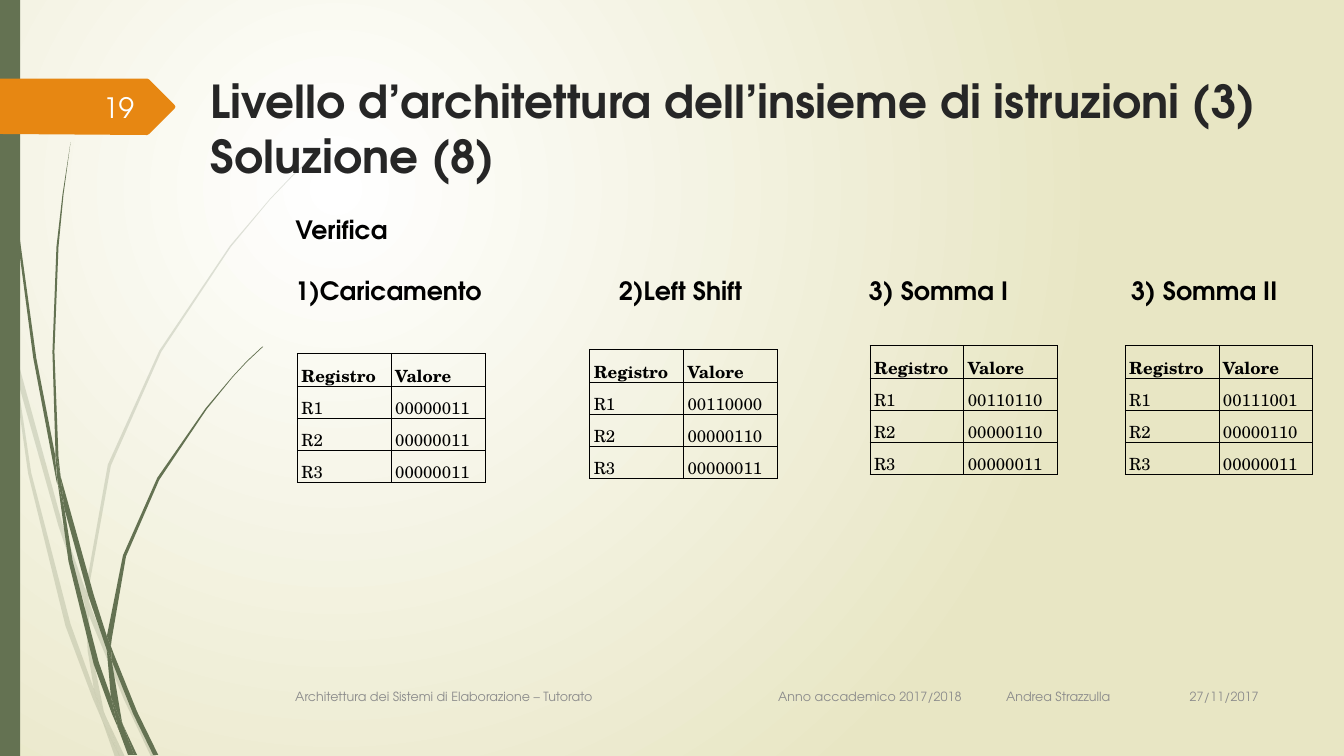
"""Build the slide that checks the register contents after each instruction."""
from dataclasses import dataclass
from typing import Any, Dict, List, Tuple

from lxml import etree
from pptx import Presentation
from pptx import slide as sl
from pptx import util as u
from pptx.dml import color as dml
from pptx.enum import shapes, text
from pptx.oxml import ns

WHITE = dml.RGBColor(0xFF, 0xFF, 0xFF)
CREAM = dml.RGBColor(0xE8, 0xE6, 0xC4)
GREEN = dml.RGBColor(0x64, 0x72, 0x52)
ORANGE = dml.RGBColor(0xE7, 0x87, 0x12)
NUMBER_WHITE = dml.RGBColor(0xFE, 0xFF, 0xFF)
GREY = dml.RGBColor(0x8C, 0x8C, 0x8C)
DARK = dml.RGBColor(0x26, 0x26, 0x26)
BLACK = dml.RGBColor(0, 0, 0)
SANS = "TeX Gyre Adventor"
SERIF = "TeX Gyre Schola"
COLUMN_WIDTH = 0.93
ROW_HEIGHT = 0.32


@dataclass
class Label:
    text: str
    left: float
    top: float
    width: float
    size: float = 18
    color: dml.RGBColor = BLACK
    bold: bool = True
    align: text.PP_ALIGN = text.PP_ALIGN.LEFT
    anchor: text.MSO_ANCHOR = text.MSO_ANCHOR.TOP
    tabs: Tuple[float, ...] = ()


@dataclass
class RegisterTable:
    left: float
    top: float
    values: Tuple[str, str, str]


@dataclass
class Plant:
    opacity: int
    outlines: Tuple[str, ...]


PALE_PLANT = Plant(20, (
    "0.11,3.5 0.09,3.22 0,2.82 0,2.99 0.1,3.44",
    "0.58,5.22 0.84,5.99 0.85,5.86 0.62,5.2 0.14,3.45 0.17,3.76",
    "0.92,6.07 0.88,5.96 0.88,6.1 1.23,6.94 1.5,7.51 1.55,7.51 1.27,6.92",
    "1.19,7.51 1.24,7.51 1.05,7.11",
    "0.93,6.83 0.7,6.19 0.31,4.69 0.17,3.76 0.11,3.5 0.28,4.7 0.65,6.21 0.92,6.93 1.01,7.14 0.99,7.07",
    "0.84,5.99 0.87,6.46 0.93,6.83 0.96,6.92 1.05,7.11 1.03,7.06 0.91,6.46 0.88,6.1 0.88,6.08",
    "0.88,5.84 1.1,4.62 1.6,3.49 2.29,2.45 2.68,1.98 2.9,1.75 3.12,1.54 3.12,1.53 "
    "2.89,1.75 2.68,1.97 2.28,2.44 1.58,3.48 1.07,4.61 0.85,5.84 0.85,5.86 0.88,5.96",
    "1.01,7.14 1.14,7.51 1.19,7.51",
    "0.88,6.08 0.88,6.1 0.88,5.96 0.85,5.86 0.84,5.99",
    "0.96,6.92 0.93,6.83 0.99,7.07 1.01,7.14 1.19,7.51 1.05,7.11",
))
DARK_PLANT = Plant(100, (
    "0.07,1.1 0.17,2.33 0.33,3.55 0.56,4.77 0.57,4.81 0.55,4.57 0.55,4.53 0.36,3.55 "
    "0.19,2.32 0.08,1.09 0.05,0.48 0.04,0 0.03,0 0.04,0.48",
    "0.88,5.92 1.06,6.45 1.06,6.31 0.93,5.9 0.6,4.72 0.64,5.05",
    "1.13,6.49 1.1,6.41 1.11,6.56 1.32,7.08 1.52,7.49 1.57,7.49 1.36,7.06",
    "1.1,6.91 0.98,6.57 0.72,5.56 0.64,5.05 0.57,4.77 0.68,5.57 0.93,6.59 1.11,7.08 1.17,7.22 1.16,7.17",
    "0.6,4.72 0.58,4.53 0.54,3.49 0.58,2.45 0.63,1.93 0.7,1.41 0.62,1.93 0.56,2.45 0.52,3.49 0.55,4.49",
    "1.33,7.49 1.36,7.49 1.22,7.19",
    "0.57,4.77 0.64,5.05 0.6,4.72 0.55,4.49 0.55,4.53",
    "1.11,6.33 1.25,5.52 1.58,4.76 2.05,4.06 2.31,3.74 2.45,3.59 2.61,3.44 2.6,3.44 "
    "2.45,3.58 2.31,3.73 2.04,4.05 1.56,4.74 1.22,5.51 1.06,6.31 1.1,6.41",
    "1.17,7.22 1.27,7.49 1.31,7.49",
    "1.06,6.45 1.1,6.91 1.16,7.06 1.22,7.19 1.21,7.16 1.11,6.56 1.09,6.51",
    "1.06,6.45 1.09,6.51 1.11,6.56 1.1,6.41 1.06,6.31",
    "1.16,7.06 1.1,6.91 1.16,7.17 1.17,7.22 1.3,7.49 1.33,7.49 1.22,7.19",
))
NUMBER_ARROW = "0,0.78 1.46,0.78 1.48,0.79 1.73,1.04 1.74,1.06 1.73,1.08 1.48,1.33 1.46,1.34 0,1.33"
LABELS = (
    Label("Architettura dei Sistemi di Elaborazione – Tutorato\tAnno accademico 2017/2018\tAndrea Strazzulla",
          2.83, 6.71, 8.33, 9, GREY, False, anchor=text.MSO_ANCHOR.MIDDLE, tabs=(4.79, 7.05)),
    Label("19", 0.58, 0.86, 0.85, 20, NUMBER_WHITE, False, text.PP_ALIGN.RIGHT, text.MSO_ANCHOR.MIDDLE),
    Label("27/11/2017", 11.33, 6.71, 1.25, 9, GREY, False, text.PP_ALIGN.RIGHT, text.MSO_ANCHOR.MIDDLE),
    Label("Verifica", 2.83, 2.08, 9.75),
    Label("1)Caricamento", 2.83, 2.68, 2.2),
    Label("2)Left Shift", 6.04, 2.68, 1.48),
    Label("3) Somma I", 8.52, 2.68, 1.67),
    Label("3) Somma II", 11.12, 2.68, 1.67),
)
TABLES = (
    RegisterTable(2.95, 3.51, ("00000011", "00000011", "00000011")),
    RegisterTable(5.85, 3.47, ("00110000", "00000110", "00000011")),
    RegisterTable(8.63, 3.43, ("00110110", "00000110", "00000011")),
    RegisterTable(11.16, 3.43, ("00111001", "00000110", "00000011")),
)


def set_values(target: Any, values: Dict[str, Any]) -> None:
    for name, value in values.items():
        setattr(target, name, value)


def format_font(font: Any, name: str, size: float, color: dml.RGBColor, bold: bool) -> None:
    set_values(font, {"name": name, "size": u.Pt(size), "bold": bold})
    font.color.rgb = color


def paint(shape: Any, color: dml.RGBColor, opacity: int = 100) -> None:
    shape.shadow.inherit = False
    shape.line.fill.background()
    shape.fill.solid()
    shape.fill.fore_color.rgb = color
    if opacity < 100:
        tint = shape.element.spPr.find(".//" + ns.qn("a:srgbClr"))
        etree.SubElement(tint, ns.qn("a:alpha"), val=str(opacity * 1000))


def draw_outline(page: sl.Slide, outline: str, color: dml.RGBColor, opacity: int = 100) -> None:
    points: List[Tuple[int, ...]] = [
        tuple(u.Inches(float(number)) for number in pair.split(",")) for pair in outline.split()]
    builder = page.shapes.build_freeform(*points[0])
    builder.add_line_segments(points[1:])
    paint(builder.convert_to_shape(), color, opacity)


def draw_label(page: sl.Slide, label: Label) -> None:
    box = page.shapes.add_textbox(*map(u.Inches, (label.left, label.top, label.width, 0.4)))
    set_values(box.text_frame, {"word_wrap": True, "vertical_anchor": label.anchor})
    para = box.text_frame.paragraphs[0]
    para.alignment = label.align
    if label.tabs:
        stops = etree.SubElement(para._p.get_or_add_pPr(), ns.qn("a:tabLst"))
        for position in label.tabs:
            etree.SubElement(stops, ns.qn("a:tab"), pos=str(u.Inches(position)), algn="l")
    span = para.add_run()
    span.text = label.text
    format_font(span.font, SANS, label.size, label.color, label.bold)


def draw_cell(cell: Any, words: str, bold: bool) -> None:
    margins = ("margin_left", "margin_right", "margin_top", "margin_bottom")
    set_values(cell, dict.fromkeys(margins, u.Inches(0.04)))
    for side in ("a:lnL", "a:lnR", "a:lnT", "a:lnB"):
        border = etree.SubElement(cell._tc.get_or_add_tcPr(), ns.qn(side), w=str(u.Pt(0.75)))
        ink = etree.SubElement(border, ns.qn("a:solidFill"))
        etree.SubElement(ink, ns.qn("a:srgbClr"), val=str(BLACK))
    cell.fill.background()
    para = cell.text_frame.paragraphs[0]
    set_values(para, {"alignment": text.PP_ALIGN.JUSTIFY, "line_spacing": 1.2})
    span = para.add_run()
    span.text = words
    format_font(span.font, SERIF, 12, BLACK, bold)


def draw_table(page: sl.Slide, registers: RegisterTable) -> None:
    rows = [("Registro", "Valore")] + [(f"R{i}", value) for i, value in enumerate(registers.values, 1)]
    size = (2 * COLUMN_WIDTH, len(rows) * ROW_HEIGHT)
    grid = page.shapes.add_table(len(rows), 2, *map(u.Inches, (registers.left, registers.top, *size))).table
    set_values(grid, {"first_row": False, "horz_banding": False})
    for r, row in enumerate(rows):
        for c, words in enumerate(row):
            draw_cell(grid.cell(r, c), words, r == 0)


def fill_background(page: sl.Slide) -> None:
    fill = page.background.fill
    fill.gradient()
    for stop, color in zip(fill.gradient_stops, (WHITE, CREAM)):
        stop.color.rgb = color
    gradient = page.element.find(".//" + ns.qn("a:gradFill"))
    gradient.remove(gradient.find(ns.qn("a:lin")))
    circle = etree.SubElement(gradient, ns.qn("a:path"), {"path": "circle"})
    etree.SubElement(circle, ns.qn("a:fillToRect"), l="50000", t="50000", r="100000", b="100000")


def write_title(page: sl.Slide) -> None:
    title = page.shapes.title
    set_values(title, dict(zip(("left", "top", "width", "height"), map(u.Inches, (1.99, 0.68, 10.59, 1.4)))))
    set_values(title.text_frame, {"word_wrap": True, "vertical_anchor": text.MSO_ANCHOR.TOP,
                                  "auto_size": text.MSO_AUTO_SIZE.NONE})
    para = title.text_frame.paragraphs[0]
    para.text = "Livello d’architettura dell’insieme di istruzioni (3)\vSoluzione (8)"
    para.alignment = text.PP_ALIGN.LEFT
    for span in para.runs:
        format_font(span.font, SANS, 32.4, DARK, True)
    title.element.getparent().append(title.element)


def main() -> None:
    deck = Presentation()
    set_values(deck, {"slide_width": u.Inches(13.33), "slide_height": u.Inches(7.5)})
    page = deck.slides.add_slide(deck.slide_layouts[5])
    fill_background(page)
    for plant in (PALE_PLANT, DARK_PLANT):
        for outline in plant.outlines:
            draw_outline(page, outline, GREEN, plant.opacity)
    bar = page.shapes.add_shape(shapes.MSO_SHAPE.RECTANGLE, 0, 0, u.Inches(0.2), u.Inches(7.5))
    paint(bar, GREEN)
    draw_outline(page, NUMBER_ARROW, ORANGE)
    write_title(page)
    for label in LABELS:
        draw_label(page, label)
    for registers in TABLES:
        draw_table(page, registers)
    deck.save("out.pptx")


if __name__ == "__main__":
    main()
